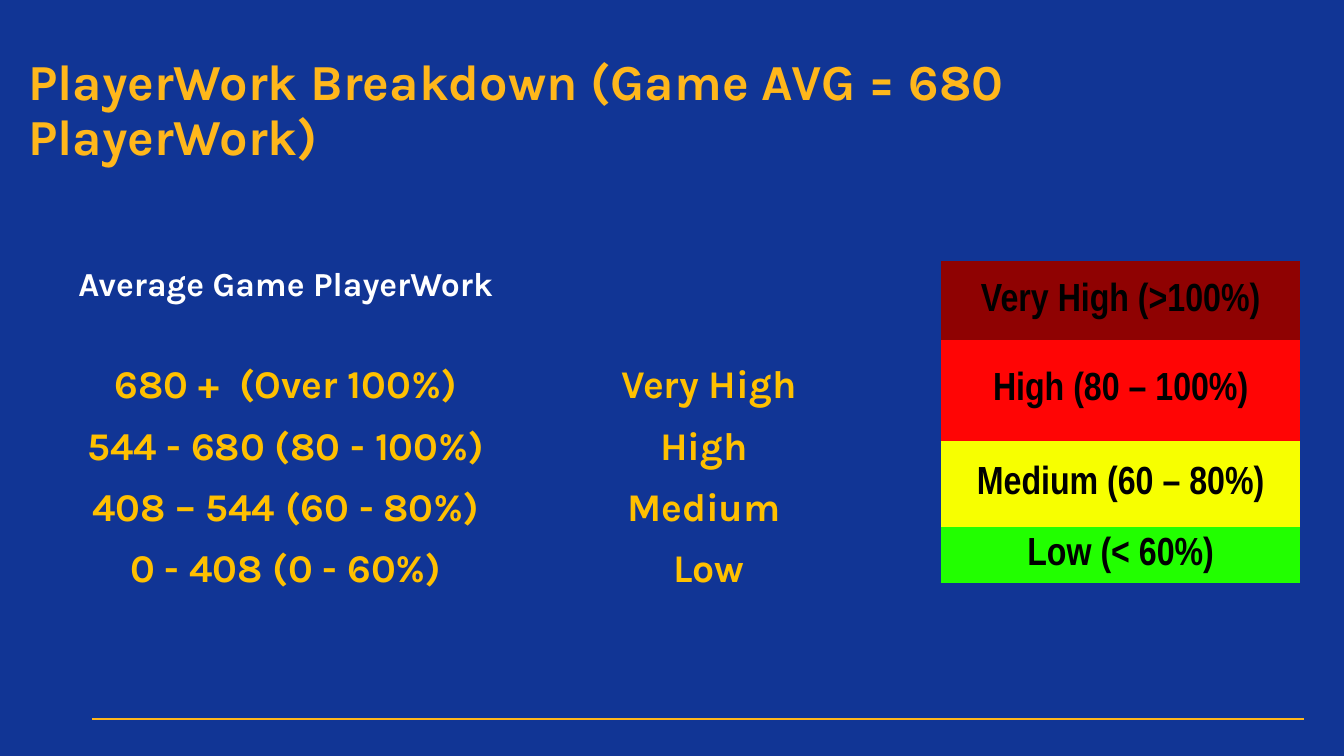
from pptx import Presentation
from pptx.dml.color import RGBColor
from pptx.enum.shapes import MSO_CONNECTOR as Link
from pptx.enum.text import MSO_ANCHOR as Anchor, PP_ALIGN as Align
from pptx.oxml.ns import qn
from pptx.util import Cm, Pt
from lxml import etree

NAVY = RGBColor(0x11, 0x35, 0x95)
GOLD = RGBColor(0xFF, 0xB7, 0x1B)
AMBER = RGBColor(0xFF, 0xC0, 0x00)
WHITE = RGBColor(0xFF, 0xFF, 0xFF)
BLACK = RGBColor(0x00, 0x00, 0x00)
MAROON = RGBColor(0x8F, 0x02, 0x02)
RED = RGBColor(0xFF, 0x05, 0x05)
YELLOW = RGBColor(0xF7, 0xFF, 0x00)
GREEN = RGBColor(0x22, 0xFF, 0x00)
PLAIN = "{2D5ABB26-0587-4C30-8999-92F81FD0307C}"


def write(frame, text, face, size, color, align):
    frame.text = text
    par = frame.paragraphs[0]
    par.alignment = align
    font = par.font
    font.name, font.size, font.bold = face, Pt(size), True
    font.color.rgb = color


def grid(left, top, widths, heights):
    """Add a table without borders or banding."""
    frame = slide.shapes.add_table(len(heights), len(widths), Cm(left), Cm(top),
                                   Cm(sum(widths)), Cm(sum(heights)))
    table = frame.table
    table.first_row = table.horz_banding = False
    next(frame.element.iter(qn("a:tableStyleId"))).text = PLAIN
    for col, width in zip(table.columns, widths):
        col.width = Cm(width)
    for row, height in zip(table.rows, heights):
        row.height = Cm(height)
    return table


prs = Presentation()
prs.slide_width, prs.slide_height = Cm(33.87), Cm(19.05)
slide = prs.slides.add_slide(prs.slide_layouts[6])
slide.background.fill.solid()
slide.background.fill.fore_color.rgb = NAVY

rule = slide.shapes.add_connector(Link.STRAIGHT, Cm(2.33), Cm(18.11), Cm(32.85), Cm(18.11))
rule.line.color.rgb = GOLD
rule.line.width = Pt(1.5)
etree.SubElement(rule.element.spPr, qn("a:effectLst"))

title = slide.shapes.add_textbox(Cm(0.46), Cm(0.97), Cm(29.21), Cm(3.68)).text_frame
title.word_wrap = True
title.vertical_anchor = Anchor.MIDDLE
write(title, "PlayerWork Breakdown (Game AVG = 680 PlayerWork)", "Karla", 36, GOLD, Align.LEFT)
title.paragraphs[0].line_spacing = 0.9

# Load ranges and their levels
ranges = [
    ("Average Game PlayerWork", ""),
    ("680 +  (Over 100%)", "Very High"),
    ("544 - 680 (80 - 100%)", "High "),
    ("408 – 544 (60 - 80%)", "Medium "),
    ("0 - 408 (0 - 60%)", "Low"),
]
table = grid(1.6, 6.58, [11.2, 10.13], [2.44] + [1.54] * 4)
for r, texts in enumerate(ranges):
    size, color = (28, AMBER) if r else (24, WHITE)
    for c, text in enumerate(texts):
        cell = table.cell(r, c)
        cell.fill.background()
        write(cell.text_frame, text, "Karla", size, color, Align.CENTER)

# Colour key
levels = [
    ("Very High (>100%)", MAROON, 1.98),
    ("High (80 – 100%)", RED, 2.54),
    ("Medium (60 – 80%)", YELLOW, 2.18),
    ("Low (< 60%)", GREEN, 1.4),
]
key = grid(23.72, 6.58, [9.04], [level[2] for level in levels])
for r, (text, fill, _) in enumerate(levels):
    cell = key.cell(r, 0)
    cell.fill.solid()
    cell.fill.fore_color.rgb = fill
    cell.vertical_anchor = Anchor.MIDDLE
    cell.margin_left = cell.margin_right = cell.margin_top = Cm(0.03)
    cell.margin_bottom = Cm(0)
    write(cell.text_frame, text, "Arial Narrow", 28, BLACK, Align.CENTER)

prs.save("out.pptx")
